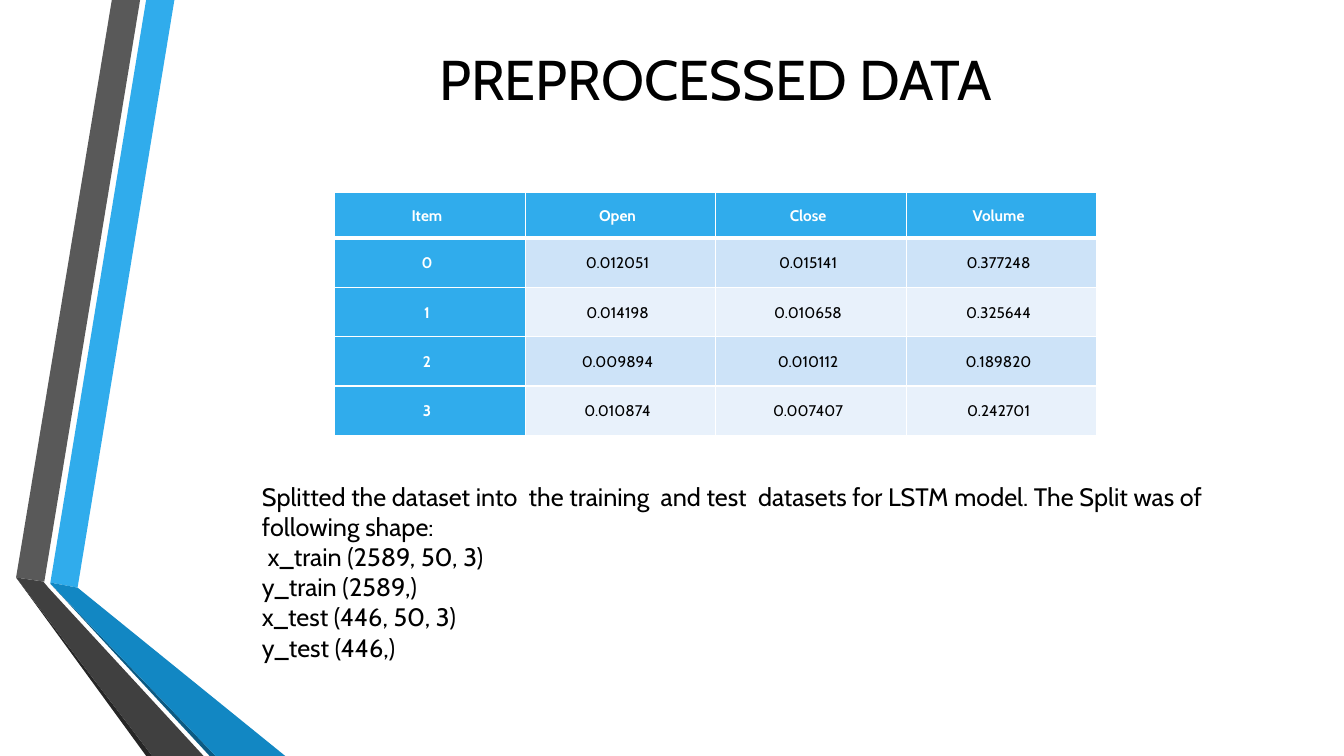
from lxml.etree import SubElement
from pptx import Presentation
from pptx.dml.color import RGBColor
from pptx.enum.text import MSO_ANCHOR as Anchor, PP_ALIGN as Align
from pptx.oxml.ns import qn
from pptx.util import Inches, Pt

FONT = "Cabin"
BLACK, WHITE, BLUE = "000000", "FFFFFF", "30ACEC"
BANDS = ["CDE3F8", "E8F1FB"]

RIBBONS = [
    (BLUE, [(0.5, 5.78), (0.77, 5.83), (1.73, 0), (1.45, 0)]),
    ("595959", [(1.39, 0), (1.11, 0), (0.16, 5.73), (0.44, 5.77)]),
    ("262626", [(0.16, 5.73), (1.45, 7.5), (1.51, 7.5)]),
    ("0C5A82", [(0.5, 5.79), (2.08, 7.5), (2.14, 7.5)]),
    ("1287C3", [(0.5, 5.79), (2.14, 7.5), (2.83, 7.5), (0.77, 5.83), (0.5, 5.78)]),
    ("404040", [(2.02, 7.5), (0.48, 5.83), (0.43, 5.77), (0.16, 5.73), (1.51, 7.5)]),
]

PREPROCESSED = [
    ["Item", "Open", "Close", "Volume"],
    ["0", "0.012051", "0.015141", "0.377248"],
    ["1", "0.014198", "0.010658", "0.325644"],
    ["2", "0.009894", "0.010112", "0.189820"],
    ["3", "0.010874", "0.007407", "0.242701"],
]

SPLIT_SHAPES = [
    "Splitted the dataset into  the training  and test  datasets for LSTM model. "
    "The Split was of following shape:",
    " x_train (2589, 50, 3)",
    "y_train (2589,)",
    "x_test (446, 50, 3)",
    "y_test (446,)",
]


def paint(fill, color):
    fill.solid()
    fill.fore_color.rgb = RGBColor.from_string(color)


def style(paragraph, size, color=BLACK, bold=False, align=Align.LEFT):
    paragraph.alignment = align
    font = paragraph.font
    font.name, font.size, font.bold = FONT, Pt(size), bold
    font.color.rgb = RGBColor.from_string(color)


def add_ribbon(slide, color, points):
    corners = [(Inches(x), Inches(y)) for x, y in points]
    builder = slide.shapes.build_freeform(*corners[0])
    builder.add_line_segments(corners[1:])
    ribbon = builder.convert_to_shape()
    paint(ribbon.fill, color)
    ribbon.line.fill.background()
    ribbon.shadow.inherit = False


def add_text(slide, box, lines, size, align=Align.LEFT, anchor=Anchor.TOP, top_inset=0.05):
    frame = slide.shapes.add_textbox(*map(Inches, box)).text_frame
    frame.word_wrap = True
    frame.vertical_anchor = anchor
    frame.margin_top = Inches(top_inset)
    frame.text = "\n".join(lines)
    for paragraph in frame.paragraphs:
        style(paragraph, size, align=align)


def add_borders(cell, top, bottom):
    properties = cell._tc.get_or_add_tcPr()
    for side, width in [("L", 1), ("R", 1), ("T", top), ("B", bottom)]:
        border = SubElement(properties, qn(f"a:ln{side}"), w=str(Pt(width)))
        fill = SubElement(border, qn("a:solidFill"))
        SubElement(fill, qn("a:srgbClr"), val=WHITE)


def fill_cell(cell, text, row, column):
    is_heading = row == 0 or column == 0
    add_borders(cell, 3 if row == 1 else 1, 3 if row == 0 else 1)
    paint(cell.fill, BLUE if is_heading else BANDS[(row - 1) % 2])
    cell.vertical_anchor = Anchor.MIDDLE
    cell.margin_left, cell.margin_right = Inches(0.08), Inches(0.14)
    cell.margin_top = cell.margin_bottom = 0
    cell.text = text
    paragraph = cell.text_frame.paragraphs[0]
    paragraph.line_spacing = 1.07
    style(paragraph, 11, WHITE if is_heading else BLACK, is_heading, Align.CENTER)


def add_data_table(slide, box, values):
    table = slide.shapes.add_table(len(values), len(values[0]), *map(Inches, box)).table
    for row, texts in enumerate(values):
        table.rows[row].height = Inches(0.49 if row else 0.45)
        for column, text in enumerate(texts):
            fill_cell(table.cell(row, column), text, row, column)


def main():
    deck = Presentation()
    deck.slide_width, deck.slide_height = Inches(13.33), Inches(7.5)
    slide = deck.slides.add_slide(deck.slide_layouts[6])
    for color, points in RIBBONS:
        add_ribbon(slide, color, points)
    add_text(slide, (1.62, -0.19, 10.96, 1.92), ["PREPROCESSED DATA"], 40,
             Align.CENTER, Anchor.MIDDLE)
    add_data_table(slide, (3.32, 1.91, 7.56, 2.41), PREPROCESSED)
    add_text(slide, (2.5, 4.42, 9.74, 2.52), SPLIT_SHAPES, 18, top_inset=0.35)
    deck.save("out.pptx")


if __name__ == "__main__":
    main()
